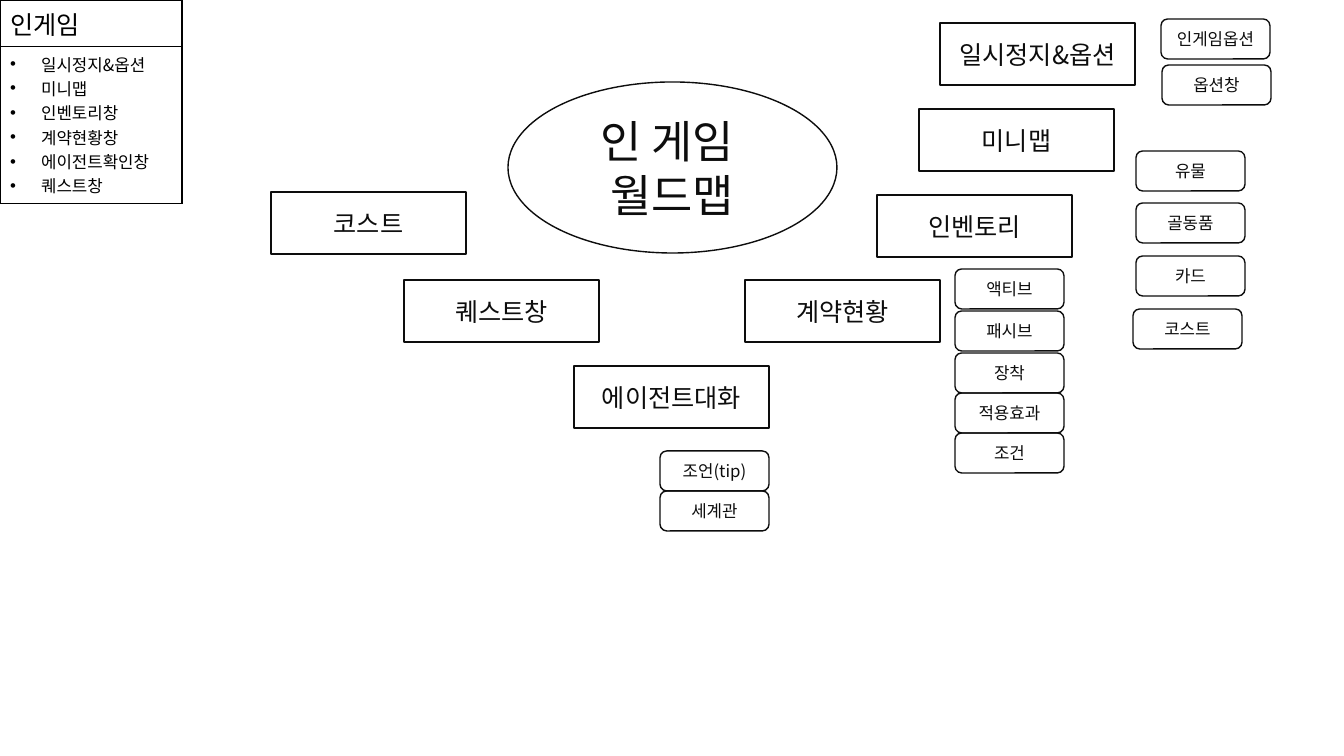
from dataclasses import dataclass

from lxml import etree
from pptx import Presentation
from pptx import util as u
from pptx.dml.color import RGBColor
from pptx.enum import shapes, text
from pptx.oxml import ns

SLIDE_W, SLIDE_H = 1344, 756
EMU_PER_PX = 12192000 / SLIDE_W


@dataclass(frozen=True)
class Theme:
    """Colours, font and type sizes of the slide."""
    ink: str = "0D0D0D"
    table_ink: str = "000000"
    font: str = "Noto Sans CJK KR"
    hub_size: int = 32
    screen_size: int = 18
    item_size: int = 12
    line_pt: int = 1


@dataclass(frozen=True)
class NodeStyle:
    """Outline, size in pixels and type size of one level of the map."""
    outline: shapes.MSO_SHAPE
    width: int
    height: int
    type_size: int


@dataclass(frozen=True)
class Node:
    """A label and the top left corner of its outline in pixels."""
    label: str
    left: int
    top: int


THEME = Theme()
HUB = NodeStyle(shapes.MSO_SHAPE.OVAL, 329, 171, THEME.hub_size)
SCREEN = NodeStyle(shapes.MSO_SHAPE.RECTANGLE, 195, 62, THEME.screen_size)
ITEM = NodeStyle(shapes.MSO_SHAPE.ROUNDED_RECTANGLE, 109, 40, THEME.item_size)

WORLD_MAP = [
    (HUB, [Node("인 게임 \v월드맵", 508, 82)]),
    (SCREEN, [
        Node("일시정지&옵션", 940, 23),
        Node("미니맵", 919, 109),
        Node("인벤토리", 877, 195),
        Node("계약현황", 745, 280),
        Node("에이전트대화", 574, 366),
        Node("퀘스트창", 404, 280),
        Node("코스트", 271, 192),
    ]),
    (ITEM, [
        Node("인게임옵션", 1161, 19),
        Node("옵션창", 1162, 65),
        Node("유물", 1136, 151),
        Node("골동품", 1136, 203),
        Node("카드", 1136, 256),
        Node("코스트", 1133, 309),
        Node("액티브", 955, 269),
        Node("패시브", 955, 311),
        Node("장착", 955, 353),
        Node("적용효과", 955, 393),
        Node("조건", 955, 433),
        Node("조언(tip)", 660, 451),
        Node("세계관", 660, 491),
    ]),
]

SUMMARY_TITLE = "인게임"
SUMMARY_ITEMS = ["일시정지&옵션", "미니맵", "인벤토리창", "계약현황창",
                 "에이전트확인창", "퀘스트창"]
SUMMARY_WIDTH = 182
SUMMARY_ROWS = (46, 157)
BULLET_INDENT = 31


def px(pixels: int) -> u.Emu:
    """Turn whole pixels into EMU."""
    return u.Emu(round(pixels * EMU_PER_PX))


def format_text(frame, size: int, color: str) -> None:
    """Give every run of a text frame its font, size and colour."""
    for paragraph in frame.paragraphs:
        for run in paragraph.runs:
            run.font.size = u.Pt(size)
            run.font.color.rgb = RGBColor.from_string(color)
            run.font.name = THEME.font
            east_asian = etree.SubElement(run.font._element, ns.qn("a:ea"))
            east_asian.set("typeface", THEME.font)


def draw_node(slide, node: Node, style: NodeStyle) -> None:
    """Draw one outlined, centred label of the map."""
    shape = slide.shapes.add_shape(style.outline, px(node.left), px(node.top),
                                   px(style.width), px(style.height))
    shape.shadow.inherit = False
    shape.fill.background()
    shape.line.color.rgb = RGBColor.from_string(THEME.ink)
    shape.line.width = u.Pt(THEME.line_pt)
    frame = shape.text_frame
    frame.text = node.label
    frame.word_wrap = True
    frame.vertical_anchor = text.MSO_ANCHOR.MIDDLE
    frame.paragraphs[0].alignment = text.PP_ALIGN.CENTER
    format_text(frame, style.type_size, THEME.ink)


def add_bullet(paragraph) -> None:
    """Give a paragraph a hanging bullet."""
    properties = paragraph._p.get_or_add_pPr()
    properties.set("marL", str(px(BULLET_INDENT)))
    properties.set("indent", str(-px(BULLET_INDENT)))
    etree.SubElement(properties, ns.qn("a:buFont")).set("typeface", "Arial")
    etree.SubElement(properties, ns.qn("a:buChar")).set("char", "•")


def outline_cell(cell) -> None:
    """Clear a cell's fill and draw its four borders."""
    cell.fill.background()
    properties = cell._tc.get_or_add_tcPr()
    for position, side in enumerate(("lnL", "lnR", "lnT", "lnB")):
        border = etree.Element(ns.qn(f"a:{side}"), w=str(u.Pt(THEME.line_pt)))
        fill = etree.SubElement(border, ns.qn("a:solidFill"))
        etree.SubElement(fill, ns.qn("a:srgbClr")).set("val", THEME.table_ink)
        properties.insert(position, border)


def draw_summary(slide) -> None:
    """Draw the table that lists the in-game screens."""
    table = slide.shapes.add_table(len(SUMMARY_ROWS), 1, 0, 0, px(SUMMARY_WIDTH),
                                   px(sum(SUMMARY_ROWS))).table
    contents = (SUMMARY_TITLE, "\n".join(SUMMARY_ITEMS))
    sizes = (THEME.screen_size, THEME.item_size)
    for index, (height, content, size) in enumerate(zip(SUMMARY_ROWS, contents, sizes)):
        table.rows[index].height = px(height)
        cell = table.cell(index, 0)
        cell.text_frame.text = content
        format_text(cell.text_frame, size, THEME.table_ink)
        for run in cell.text_frame.paragraphs[0].runs:
            run.font.bold = False
        outline_cell(cell)
    for paragraph in table.cell(1, 0).text_frame.paragraphs:
        add_bullet(paragraph)


def main() -> None:
    """Build the slide and save it."""
    deck = Presentation()
    deck.slide_width, deck.slide_height = px(SLIDE_W), px(SLIDE_H)
    slide = deck.slides.add_slide(deck.slide_layouts[6])
    draw_summary(slide)
    for style, nodes in WORLD_MAP:
        for node in nodes:
            draw_node(slide, node, style)
    deck.save("out.pptx")


main()
